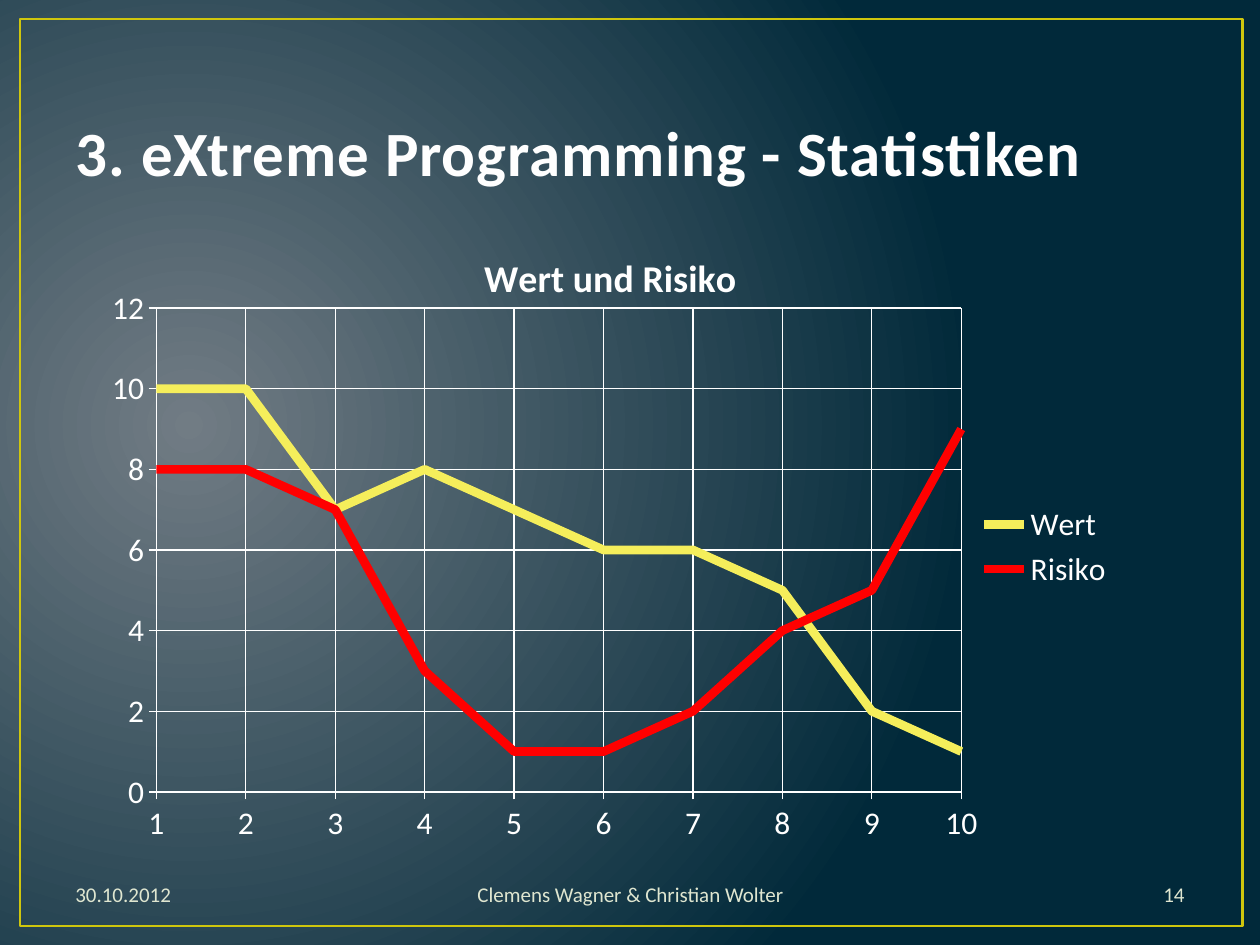
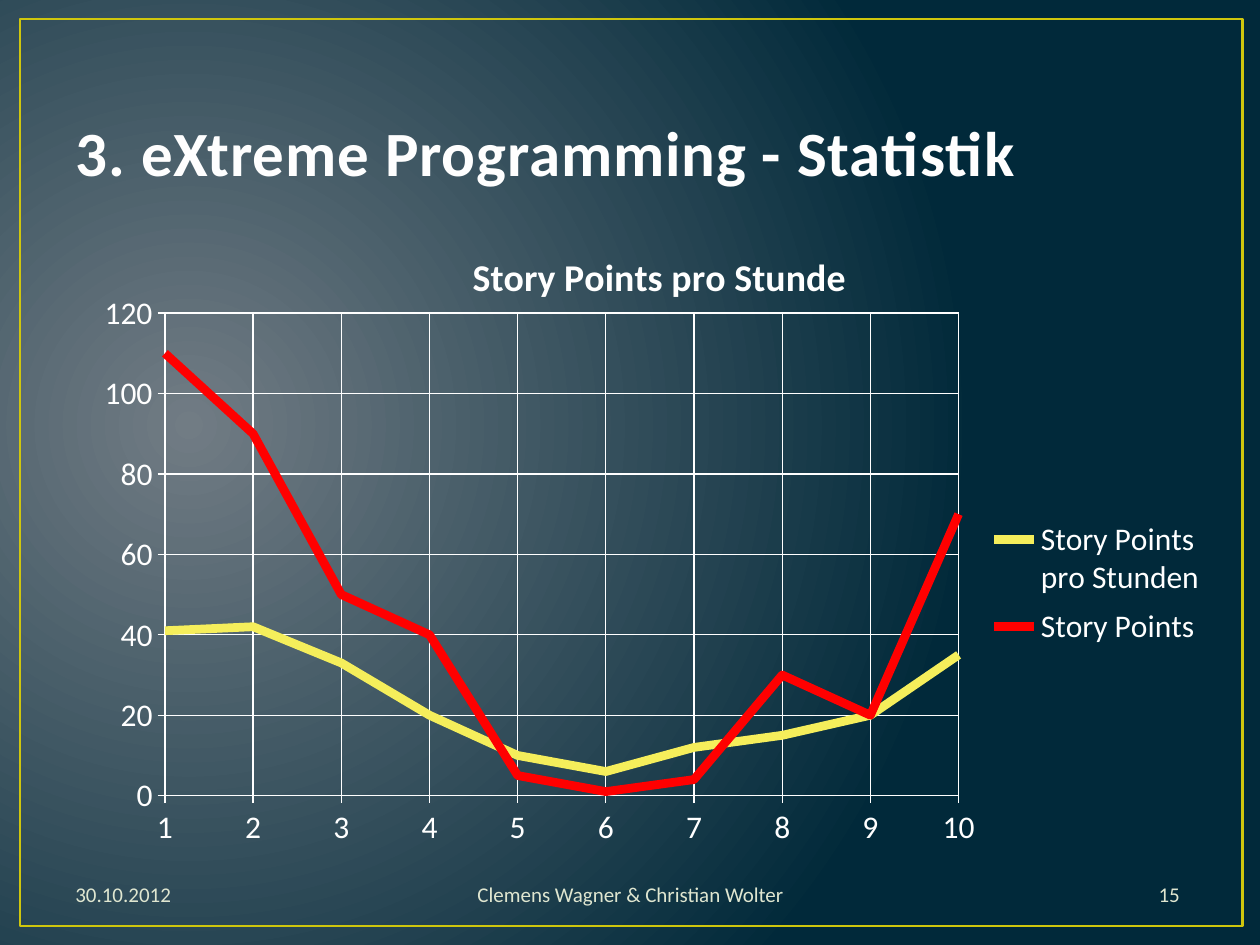
from dataclasses import dataclass
from typing import Any, Optional

from lxml import etree
from pptx import Presentation
from pptx.chart.axis import _BaseAxis
from pptx.chart.chart import Chart
from pptx.chart.data import CategoryChartData
from pptx.dml.color import RGBColor
from pptx.enum.chart import XL_CHART_TYPE, XL_LEGEND_POSITION, XL_TICK_MARK
from pptx.enum.shapes import MSO_SHAPE
from pptx.enum.text import MSO_ANCHOR, PP_ALIGN
from pptx.oxml.ns import qn
from pptx.slide import Slide, SlideMaster
from pptx.util import Inches, Pt

LINE_CHART = XL_CHART_TYPE.LINE
LEGEND_RIGHT = XL_LEGEND_POSITION.RIGHT
TICK_OUT = XL_TICK_MARK.OUTSIDE
RECTANGLE = MSO_SHAPE.RECTANGLE
MIDDLE, BOTTOM = MSO_ANCHOR.MIDDLE, MSO_ANCHOR.BOTTOM
LEFT, CENTER, RIGHT = PP_ALIGN.LEFT, PP_ALIGN.CENTER, PP_ALIGN.RIGHT
TITLE_ONLY = 5

Box = tuple[float, float, float, float]


@dataclass(frozen=True)
class Theme:
    font: str = "Calibri"
    glow: str = "717C84"
    night: str = "01293A"
    frame: str = "CFC60D"
    heading: str = "FEFEFE"
    footer: str = "DFE6D0"
    chart: str = "FFFFFF"
    series: tuple[str, ...] = ("F5EE5B", "FF0000")
    heading_size: float = 36
    footer_size: float = 12
    chart_size: float = 18
    chart_title_size: float = 21.6
    frame_width: float = 1.5
    grid_width: float = 0.75
    series_width: float = 5


@dataclass(frozen=True)
class FooterPart:
    text: str
    left: float
    width: float
    align: PP_ALIGN


@dataclass(frozen=True)
class Statistic:
    heading: str
    page: str
    chart_title: str
    box: Box
    plot: Box
    top_value: int
    step: int
    number_format: str
    curves: dict[str, tuple[int, ...]]
    legend: Optional[Box] = None


THEME = Theme()
ITERATIONS = [str(number) for number in range(1, 11)]
FRAME_BOX: Box = (0.16, 0.15, 9.7, 7.2)
HEADING_BOX: Box = (0.5, 0.3, 9, 1.25)
FOOTER_TOP, FOOTER_HEIGHT = 6.9, 0.4

STATISTICS = (
    Statistic(
        "3. eXtreme Programming - Statistiken", "14", "Wert und Risiko",
        (0.75, 1.78, 8.19, 5.12), (0.06, 0.13, 0.78, 0.75), 12, 2, "General",
        {
            "Wert": (10, 10, 7, 8, 7, 6, 6, 5, 2, 1),
            "Risiko": (8, 8, 7, 3, 1, 1, 2, 4, 5, 9),
        },
    ),
    Statistic(
        "3. eXtreme Programming - Statistik", "15 ", "Story Points pro Stunde",
        (0.67, 1.78, 9.13, 5.04), (0.07, 0.14, 0.69, 0.76), 120, 20, "#,##0",
        {
            "Story Points pro Stunden": (41, 42, 33, 20, 10, 6, 12, 15, 20, 35),
            "Story Points": (110, 90, 50, 40, 5, 1, 4, 30, 20, 70),
        },
        (0.78, 0.45, 0.2, 0.23),
    ),
)


def apply(target: Any, values: dict[str, Any]) -> None:
    for name, value in values.items():
        setattr(target, name, value)


def lengths(box: Box) -> list[Inches]:
    return [Inches(length) for length in box]


def style_font(font: Any, size: float, color: str, bold: bool = False) -> None:
    apply(font, {"name": THEME.font, "size": Pt(size), "bold": bold})
    font.color.rgb = RGBColor.from_string(color)


def style_line(line: Any, color: str, width: float) -> None:
    line.color.rgb = RGBColor.from_string(color)
    line.width = Pt(width)


def write(shape: Any, text: str, anchor: MSO_ANCHOR, align: PP_ALIGN,
          size: float, color: str, bold: bool = False) -> None:
    apply(shape.text_frame, {"text": text, "word_wrap": True, "vertical_anchor": anchor})
    paragraph = shape.text_frame.paragraphs[0]
    paragraph.alignment = align
    style_font(paragraph.runs[0].font, size, color, bold)


def paint_background(master: SlideMaster) -> None:
    fill = master.background.fill
    fill.gradient()
    for stop, color, position in zip(fill.gradient_stops, (THEME.glow, THEME.night), (0, 1)):
        stop.color.rgb = RGBColor.from_string(color)
        stop.position = position
    gradient = master.element.find(".//" + qn("a:gradFill"))
    for linear in gradient.findall(qn("a:lin")):
        gradient.remove(linear)
    glow = etree.SubElement(gradient, qn("a:path"), {"path": "circle"})
    center = {"l": "15000", "t": "50000", "r": "85000", "b": "60000"}
    etree.SubElement(glow, qn("a:fillToRect"), center)


def add_frame(slide: Slide) -> None:
    frame = slide.shapes.add_shape(RECTANGLE, *lengths(FRAME_BOX))
    frame.shadow.inherit = False
    frame.fill.background()
    style_line(frame.line, THEME.frame, THEME.frame_width)


def add_heading(slide: Slide, text: str) -> None:
    heading = slide.shapes.title
    apply(heading, dict(zip(("left", "top", "width", "height"), lengths(HEADING_BOX))))
    write(heading, text, BOTTOM, LEFT, THEME.heading_size, THEME.heading, True)
    heading.element.find(".//" + qn("a:rPr")).set("spc", "50")


def add_footer(slide: Slide, page: str) -> None:
    parts = (
        FooterPart("30.10.2012", 0.5, 2.33, LEFT),
        FooterPart("Clemens Wagner & Christian Wolter", 3.1, 3.81, CENTER),
        FooterPart(page, 7.17, 2.33, RIGHT),
    )
    for part in parts:
        box = (part.left, FOOTER_TOP, part.width, FOOTER_HEIGHT)
        write(slide.shapes.add_textbox(*lengths(box)), part.text, MIDDLE,
              part.align, THEME.footer_size, THEME.footer)


def set_layout(parent: Any, index: int, box: Box, inner: bool = False) -> None:
    for old in parent.findall(qn("c:layout")):
        parent.remove(old)
    layout = etree.Element(qn("c:layout"))
    manual = etree.SubElement(layout, qn("c:manualLayout"))
    settings = {"layoutTarget": "inner"} if inner else {}
    settings |= {"xMode": "edge", "yMode": "edge"}
    settings |= dict(zip("xywh", map(str, box)))
    for name, value in settings.items():
        etree.SubElement(manual, qn("c:" + name), {"val": value})
    parent.insert(index, layout)


def style_axis(axis: _BaseAxis) -> None:
    apply(axis, {"has_major_gridlines": True, "major_tick_mark": TICK_OUT})
    for line in (axis.format.line, axis.major_gridlines.format.line):
        style_line(line, THEME.chart, THEME.grid_width)
    style_font(axis.tick_labels.font, THEME.chart_size, THEME.chart)


def start_curves_on_axis(chart: Chart) -> None:
    value_axis = chart.element.find(".//" + qn("c:valAx"))
    for old in value_axis.findall(qn("c:crossBetween")):
        value_axis.remove(old)
    crossing = etree.Element(qn("c:crossBetween"), {"val": "midCat"})
    value_axis.find(qn("c:crosses")).addnext(crossing)


def add_statistic_chart(slide: Slide, statistic: Statistic) -> None:
    data = CategoryChartData(number_format=statistic.number_format)
    data.categories = ITERATIONS
    for name, values in statistic.curves.items():
        data.add_series(name, values)
    chart = slide.shapes.add_chart(LINE_CHART, *lengths(statistic.box), data).chart
    style_font(chart.font, THEME.chart_size, THEME.chart)

    chart.has_title = True
    chart.chart_title.include_in_layout = False
    caption = chart.chart_title.text_frame
    caption.text = statistic.chart_title
    style_font(caption.paragraphs[0].runs[0].font, THEME.chart_title_size, THEME.chart, True)

    chart.has_legend = True
    apply(chart.legend, {"position": LEGEND_RIGHT, "include_in_layout": False})
    style_font(chart.legend.font, THEME.chart_size, THEME.chart)

    for axis in (chart.category_axis, chart.value_axis):
        style_axis(axis)
    apply(chart.value_axis, {"minimum_scale": 0, "maximum_scale": statistic.top_value,
                             "major_unit": statistic.step})
    apply(chart.value_axis.tick_labels, {"number_format": statistic.number_format,
                                         "number_format_is_linked": False})
    start_curves_on_axis(chart)

    chart.plots[0].vary_by_categories = False
    for curve, color in zip(chart.plots[0].series, THEME.series):
        curve.smooth = False
        style_line(curve.format.line, color, THEME.series_width)

    set_layout(chart.element.find(".//" + qn("c:plotArea")), 0, statistic.plot, True)
    if statistic.legend:
        set_layout(chart.element.find(".//" + qn("c:legend")), 1, statistic.legend)


def main() -> None:
    presentation = Presentation()
    apply(presentation, {"slide_width": Inches(10), "slide_height": Inches(7.5)})
    paint_background(presentation.slide_master)
    for statistic in STATISTICS:
        slide = presentation.slides.add_slide(presentation.slide_layouts[TITLE_ONLY])
        add_frame(slide)
        add_heading(slide, statistic.heading)
        add_footer(slide, statistic.page)
        add_statistic_chart(slide, statistic)
    presentation.save("out.pptx")


if __name__ == "__main__":
    main()
